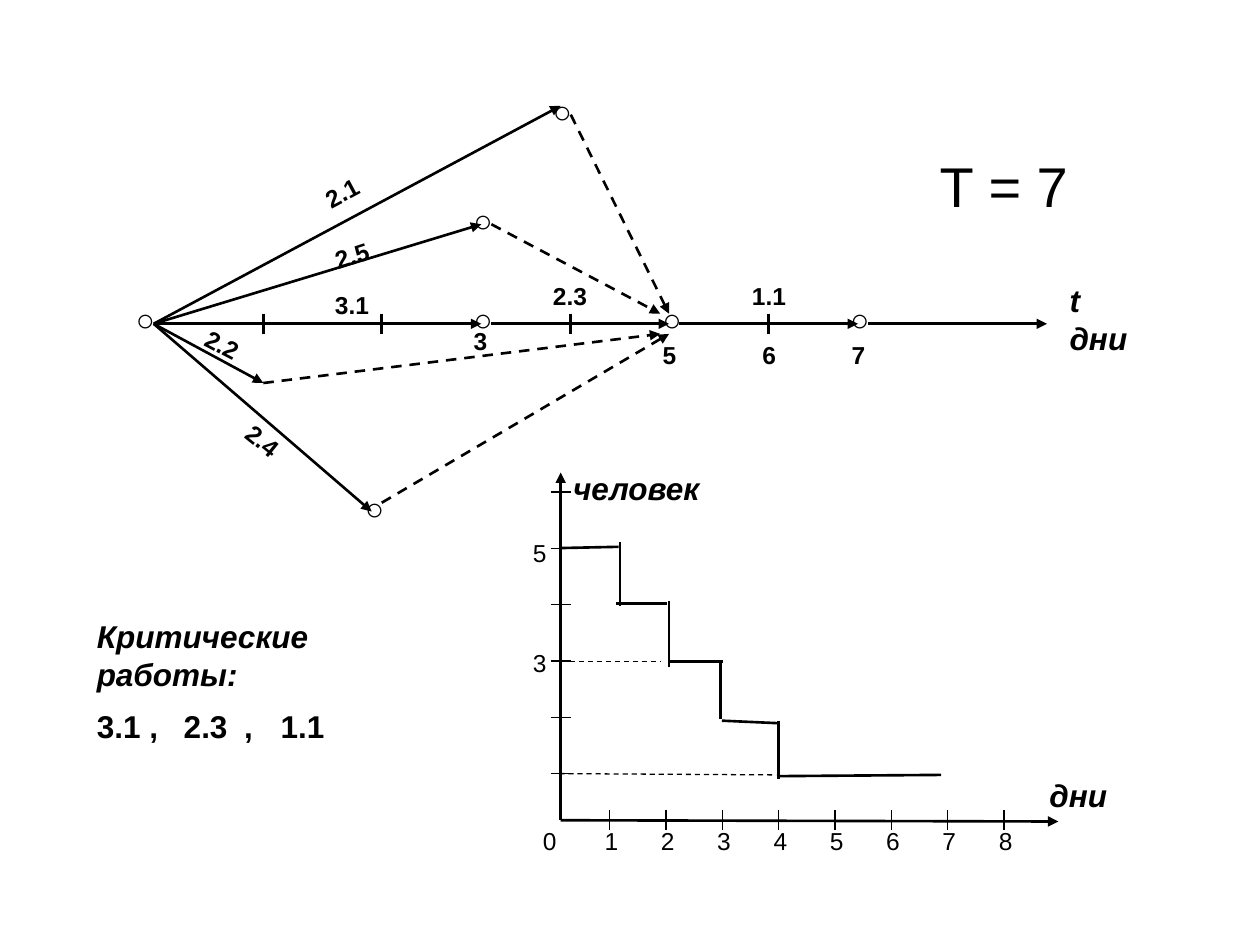
from dataclasses import dataclass
from typing import Any, Optional

import lxml.etree
import pptx
import pptx.dml.color
import pptx.enum.dml
import pptx.enum.shapes
import pptx.enum.text
import pptx.oxml.ns
import pptx.util

Inches = pptx.util.Inches
INK = "000000"
FONT = "Arial"
TIMELINE = 2.57
START = (1.22, TIMELINE)
ORIGIN = (4.45, 6.51)
UNIT = 0.447


@dataclass(frozen=True)
class Stroke:
    start: tuple[float, float]
    end: tuple[float, float]
    width: float = 1.5
    dashed: bool = False
    arrow: bool = False


@dataclass(frozen=True)
class Label:
    text: str
    left: float
    top: float
    width: float = 0.47
    height: float = 0.34
    size: float = 14
    bold: bool = True
    italic: bool = False
    wrap: bool = False
    rotation: float = 0
    centred: bool = False
    tabs: tuple[float, ...] = ()


def colour(value: str) -> pptx.dml.color.RGBColor:
    return pptx.dml.color.RGBColor.from_string(value)


def add_child(parent: Any, tag: str, **attributes: str) -> Any:
    return lxml.etree.SubElement(parent, pptx.oxml.ns.qn(tag), attributes)


def draw_stroke(page: Any, stroke: Stroke) -> None:
    ends = [Inches(value) for value in stroke.start + stroke.end]
    connector = page.shapes.add_connector(
        pptx.enum.shapes.MSO_CONNECTOR.STRAIGHT, *ends
    )
    connector.line.color.rgb = colour(INK)
    connector.line.width = pptx.util.Pt(stroke.width)
    if stroke.dashed:
        connector.line.dash_style = pptx.enum.dml.MSO_LINE.DASH
    properties = connector._element.spPr
    if stroke.arrow:
        add_child(properties.find(pptx.oxml.ns.qn("a:ln")), "a:tailEnd", type="triangle")
    add_child(properties, "a:effectLst")


def draw_label(page: Any, label: Label) -> None:
    box = page.shapes.add_textbox(
        Inches(label.left), Inches(label.top), Inches(label.width), Inches(label.height)
    )
    box.rotation = label.rotation
    frame = box.text_frame
    frame.text = label.text
    frame.word_wrap = label.wrap
    frame.auto_size = pptx.enum.text.MSO_AUTO_SIZE.SHAPE_TO_FIT_TEXT
    para = frame.paragraphs[0]
    if label.centred:
        para.alignment = pptx.enum.text.PP_ALIGN.CENTER
    if label.tabs:
        tab_list = add_child(para._p.get_or_add_pPr(), "a:tabLst")
        for position in label.tabs:
            add_child(tab_list, "a:tab", pos=str(int(Inches(position))), algn="l")
    for span in para.runs:
        span.font.name = FONT
        span.font.size = pptx.util.Pt(label.size)
        span.font.bold = label.bold
        span.font.italic = label.italic
        span.font.color.rgb = colour(INK)


def heading(text: str, left: float, top: float, width: float,
            height: float = 0.4, italic: bool = True,
            tabs: Optional[tuple[float, ...]] = None) -> Label:
    return Label(text, left, top, width, height, 18, italic=italic, wrap=True,
                 tabs=tabs or ())


def tick(x: float, y: float, across: bool = False, width: float = 0.75) -> Stroke:
    reach_x, reach_y = (0.08, 0) if across else (0, 0.08)
    return Stroke((x - reach_x, y - reach_y), (x + reach_x, y + reach_y), width)


def draw_network(page: Any) -> None:
    for left, top in [(0.98, 2.33), (3.66, 2.33), (5.16, 2.33), (6.65, 2.33),
                      (2.8, 3.83), (3.66, 1.55), (4.29, 0.68)]:
        draw_label(page, heading("○", left, top, 0.39, italic=False))
    for begin, finish in [(1.22, 3.82), (3.9, 5.31), (5.39, 6.81), (6.89, 8.31)]:
        draw_stroke(page, Stroke((begin, TIMELINE), (finish, TIMELINE), arrow=True))
    for x in (2.09, 3.03, 4.53, 6.1):
        draw_stroke(page, tick(x, TIMELINE, width=1.5))
    for end in [(4.45, 0.84), (2.09, 3.04), (3.82, 1.78), (2.95, 4.06)]:
        draw_stroke(page, Stroke(START, end, arrow=True))
    for begin, finish in [((4.53, 0.91), (5.31, 2.49)), ((3.9, 1.78), (5.24, 2.49)),
                          ((2.09, 3.04), (5.24, 2.65)), ((3.03, 3.99), (5.31, 2.65))]:
        draw_stroke(page, Stroke(begin, finish, dashed=True, arrow=True))
    labels = [
        Label("3.1", 2.56, 2.25),
        Label("2.2", 1.53, 2.57, rotation=27.7),
        Label("2.5", 2.56, 1.86, rotation=-18.2),
        Label("2.1", 2.48, 1.36, rotation=-28.3),
        Label("2.3", 4.29, 2.18),
        Label("2.4", 1.85, 3.33, rotation=38.8),
        Label("1.1", 5.87, 2.18),
        Label("3", 3.66, 2.54, 0.31),
        Label("5", 5.16, 2.65, 0.31),
        Label("6", 5.87, 2.65, wrap=True, centred=True),
        Label("7", 6.66, 2.65, 0.31),
        heading("t дни", 8.39, 2.18, 0.71, 0.7),
        Label("T = 7", 7.36, 1.15, 1.89, 0.64, 32, bold=False, wrap=True),
    ]
    for label in labels:
        draw_label(page, label)


def draw_staffing(page: Any) -> None:
    for end in [(4.45, 3.75), (8.4, 6.52)]:
        draw_stroke(page, Stroke(ORIGIN, end, arrow=True))
    for day in range(8):
        draw_stroke(page, tick(4.84 + day * UNIT, ORIGIN[1]))
    for people in range(6):
        draw_stroke(page, tick(ORIGIN[0], 6.14 - people * UNIT, across=True))
    for begin, finish in [((4.44, 6.14), (6.16, 6.15)), ((4.45, 5.25), (5.24, 5.25))]:
        draw_stroke(page, Stroke(begin, finish, 0.75, dashed=True))
    steps = [
        ((4.45, 4.35), (4.91, 4.34)), ((4.92, 4.3), (4.92, 4.81)),
        ((4.89, 4.79), (5.29, 4.79)), ((5.31, 4.77), (5.31, 5.29)),
        ((5.31, 5.25), (5.74, 5.25)), ((5.72, 5.25), (5.72, 5.71)),
        ((5.73, 5.72), (6.18, 5.74)), ((6.18, 5.72), (6.18, 6.18)),
        ((6.18, 6.16), (7.47, 6.15)),
    ]
    for begin, finish in steps:
        draw_stroke(page, Stroke(begin, finish))
    day_tabs = tuple(0.49 + day * UNIT for day in range(8))
    labels = [
        heading("человек", 4.45, 3.67, 1.26),
        heading("дни", 8.23, 6.11, 0.79),
        Label("\t".join(str(day) for day in range(9)), 4.21, 6.51, 5.36,
              bold=False, wrap=True, tabs=day_tabs),
        Label("3", 4.13, 5.09, 0.71, bold=False, wrap=True),
        Label("5", 4.13, 4.22, 0.79, bold=False, wrap=True),
    ]
    for label in labels:
        draw_label(page, label)


def main() -> None:
    deck = pptx.Presentation()
    deck.slide_width = Inches(10)
    deck.slide_height = Inches(7.5)
    page = deck.slides.add_slide(deck.slide_layouts[6])
    draw_network(page)
    draw_staffing(page)
    draw_label(page, heading("Критические работы:", 0.67, 4.85, 2.6, 0.7))
    draw_label(page, heading("3.1 ,\t2.3\t,\t1.1", 0.67, 5.56, 2.36,
                             italic=False, tabs=(0.69, 1.17, 1.46)))
    deck.save("out.pptx")


if __name__ == "__main__":
    main()
